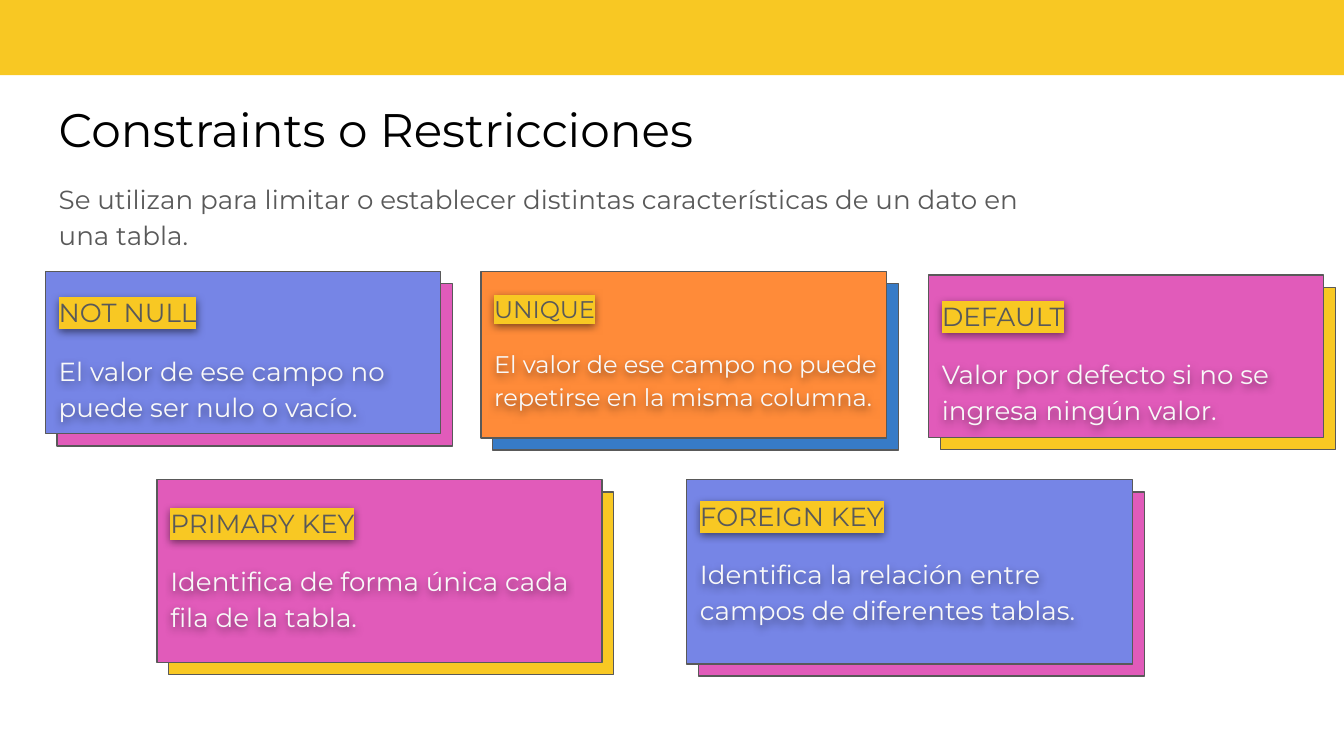
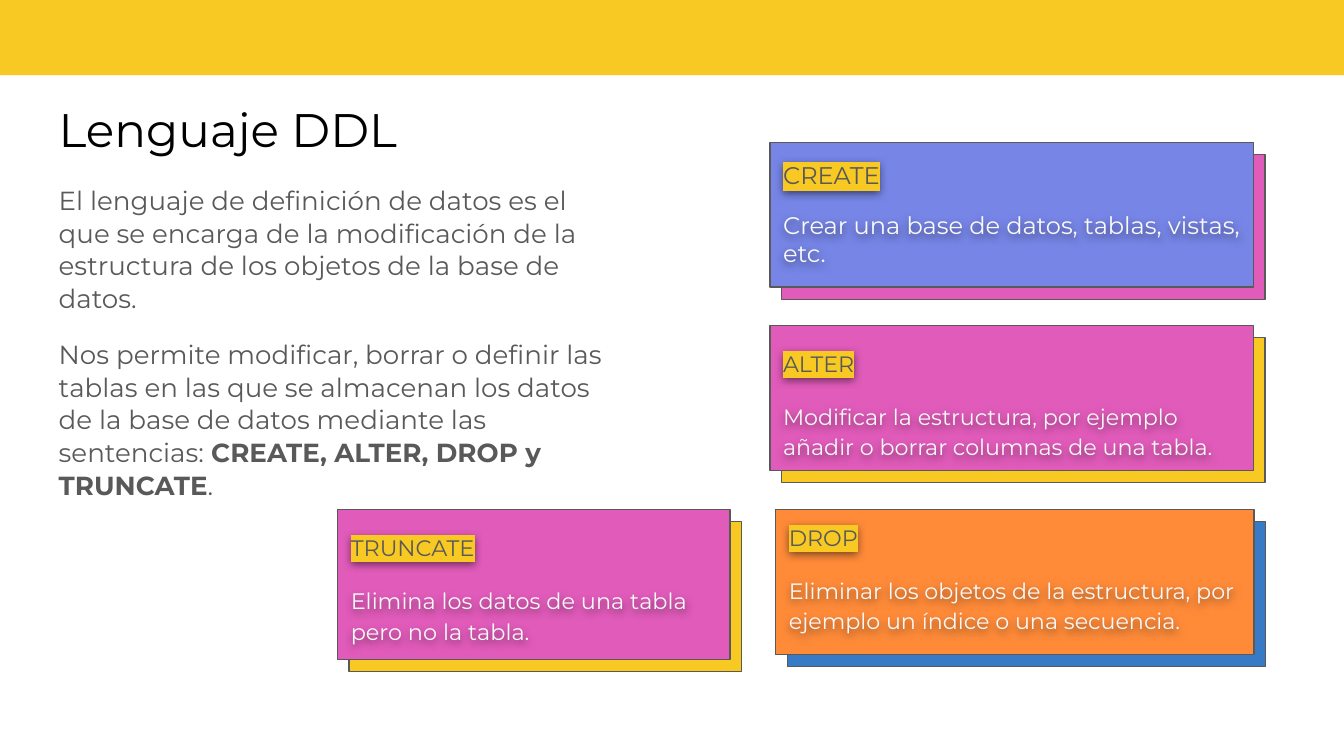
"""Builds two slides on SQL constraints and the DDL language."""
from lxml.etree import SubElement
from pptx import Presentation
from pptx.dml.color import RGBColor
from pptx.enum.shapes import MSO_SHAPE
from pptx.enum.text import MSO_ANCHOR, PP_ALIGN
from pptx.oxml import parse_xml
from pptx.oxml.ns import nsdecls, qn
from pptx.util import Cm, Pt

YELLOW = RGBColor(0xF8, 0xC8, 0x23)
PINK = RGBColor(0xE1, 0x5B, 0xBA)
PERIWINKLE = RGBColor(0x76, 0x85, 0xE6)
ORANGE = RGBColor(0xFF, 0x8B, 0x39)
BLUE = RGBColor(0x37, 0x7B, 0xC7)
GRAY = RGBColor(0x59, 0x59, 0x59)
OFF_WHITE = RGBColor(0xF9, 0xF9, 0xF9)
BLACK = RGBColor(0, 0, 0)

FONT = "Montserrat"
BACK_COLOR = {PERIWINKLE: PINK, PINK: YELLOW, ORANGE: BLUE}
BACK_RIGHT, BACK_DOWN = 0.22, 0.23
MARGIN = 0.86
INSET = 0.25


def add_rectangle(page, left, top, width, height, color, outlined=True):
    """Add a flat rectangle, with a thin gray outline if wanted."""
    box = page.shapes.add_shape(
        MSO_SHAPE.RECTANGLE, Cm(left), Cm(top), Cm(width), Cm(height))
    box.shadow.inherit = False
    box.fill.solid()
    box.fill.fore_color.rgb = color
    if outlined:
        box.line.color.rgb = GRAY
        box.line.width = Pt(0.75)
    else:
        box.line.fill.background()


def add_text_box(page, left, top, width, height):
    """Add an empty wrapping text box anchored at its top."""
    box = page.shapes.add_textbox(Cm(left), Cm(top), Cm(width), Cm(height))
    frame = box.text_frame
    frame.word_wrap = True
    frame.vertical_anchor = MSO_ANCHOR.TOP
    frame.margin_left = frame.margin_right = Cm(INSET)
    frame.margin_top = frame.margin_bottom = Cm(INSET)
    return box


def add_span(para, text, *, size=14, color=GRAY, bold=False, highlight=None):
    """Add a run of formatted text to a paragraph."""
    span = para.add_run()
    span.text = text
    font = span.font
    font.name, font.size, font.bold = FONT, Pt(size), bold
    font.color.rgb = color
    if highlight is not None:
        mark = parse_xml(f"<a:highlight {nsdecls('a')}/>")
        SubElement(mark, qn("a:srgbClr"), val=str(highlight))
        span._r.rPr.find(qn("a:solidFill")).addnext(mark)


def start_para(box, spacing=1.15, gap=0):
    """Return the next paragraph of a box, using the empty first one."""
    frame = box.text_frame
    first = frame.paragraphs[0]
    para = frame.add_paragraph() if first.runs else first
    para.alignment = PP_ALIGN.LEFT
    para.line_spacing = spacing
    para.space_before = Pt(gap)
    return para


def add_soft_shadow(box):
    """Give the text of an unfilled box a soft shadow below."""
    box._element.spPr.append(parse_xml(
        f'<a:effectLst {nsdecls("a")}>'
        '<a:outerShdw blurRad="57150" dist="19050" dir="5400000" algn="bl" rotWithShape="0">'
        '<a:srgbClr val="000000"><a:alpha val="50000"/></a:srgbClr>'
        '</a:outerShdw></a:effectLst>'))


def add_card(page, keyword, meaning, left, top, width, height, color, *,
             size=14, spacing=1.15, text_down=0.14, text_extra=0):
    """Add a two-layer card with a marked keyword and its meaning."""
    add_rectangle(page, left + BACK_RIGHT, top + BACK_DOWN, width, height, BACK_COLOR[color])
    add_rectangle(page, left, top, width, height, color)
    box = add_text_box(page, left, top + text_down, width + text_extra, height - text_down)
    add_soft_shadow(box)
    add_span(start_para(box, spacing), keyword, size=size, highlight=YELLOW)
    add_span(start_para(box, spacing, gap=12), meaning, size=size, color=OFF_WHITE)


def add_page(deck, title):
    """Add a blank page with the yellow band and a title."""
    page = deck.slides.add_slide(deck.slide_layouts[6])
    add_rectangle(page, -0.03, -0.13, 25.48, 1.55, YELLOW, outlined=False)
    box = add_text_box(page, MARGIN, 1.65, 23.67, 1.6)
    add_span(start_para(box, 1.0), title, size=25.2, color=BLACK)
    return page


def build_constraints(deck):
    """Build the page on constraints."""
    page = add_page(deck, "Constraints o Restricciones")
    upper, lower = 5.13, 9.07
    add_card(page, "NOT NULL", "El valor de ese campo no puede ser nulo o vacío.",
             MARGIN, upper, 7.47, 3.07, PERIWINKLE)
    add_card(page, "PRIMARY KEY", "Identifica de forma única cada fila de la tabla.",
             2.97, lower, 8.41, 3.45, PINK, text_down=0.18)
    add_card(page, "UNIQUE",
             "El valor de ese campo no puede repetirse en la misma columna.",
             9.09, upper, 7.67, 3.15, ORANGE, size=12.9, text_down=0.1, text_extra=0.23)
    add_card(page, "FOREIGN KEY",
             "Identifica la relación entre campos de diferentes tablas.",
             12.98, lower, 8.43, 3.48, PERIWINKLE, text_down=0.05)
    add_card(page, "DEFAULT", "Valor por defecto si no se ingresa ningún valor.",
             17.55, 5.2, 7.47, 3.07, PINK)
    intro = add_text_box(page, MARGIN, 3.12, 19.1, 1.8)
    add_span(start_para(intro),
             "Se utilizan para limitar o establecer distintas características "
             "de un dato en una tabla.")


def build_ddl(deck):
    """Build the page on the data definition language."""
    page = add_page(deck, "Lenguaje DDL")
    body = add_text_box(page, MARGIN, 3.2, 11.1, 6.93)
    add_span(start_para(body, 1.05),
             "El lenguaje de definición de datos es el que se encarga de la "
             "modificación de la estructura de los objetos de la base de datos.")
    para = start_para(body, 1.05, gap=12)
    add_span(para, "Nos permite modificar, borrar o definir las tablas en las que se "
                   "almacenan los datos de la base de datos mediante las sentencias: ")
    add_span(para, "CREATE, ALTER, DROP y TRUNCATE", bold=True)
    add_span(para, ".")

    left, bottom_row = 14.55, 9.63
    add_card(page, "CREATE", "Crear una base de datos, tablas, vistas, etc.",
             left, 2.69, 9.14, 2.74, PERIWINKLE, size=12.9, spacing=0.95)
    add_card(page, "ALTER",
             "Modificar la estructura, por ejemplo añadir o borrar columnas de una tabla.",
             left, 6.15, 9.14, 2.74, PINK, size=11.9, text_extra=0.13)
    add_card(page, "DROP",
             "Eliminar los objetos de la estructura, por ejemplo un índice o una secuencia.",
             14.66, bottom_row, 9.04, 2.74, ORANGE, size=11.9, text_down=-0.05)
    add_card(page, "TRUNCATE", "Elimina los datos de una tabla pero no la tabla.",
             6.38, bottom_row, 7.42, 2.84, PINK, size=12)


def main():
    """Build and save the deck."""
    deck = Presentation()
    deck.slide_width, deck.slide_height = Cm(25.4), Cm(14.29)
    build_constraints(deck)
    build_ddl(deck)
    deck.save("out.pptx")


if __name__ == "__main__":
    main()
